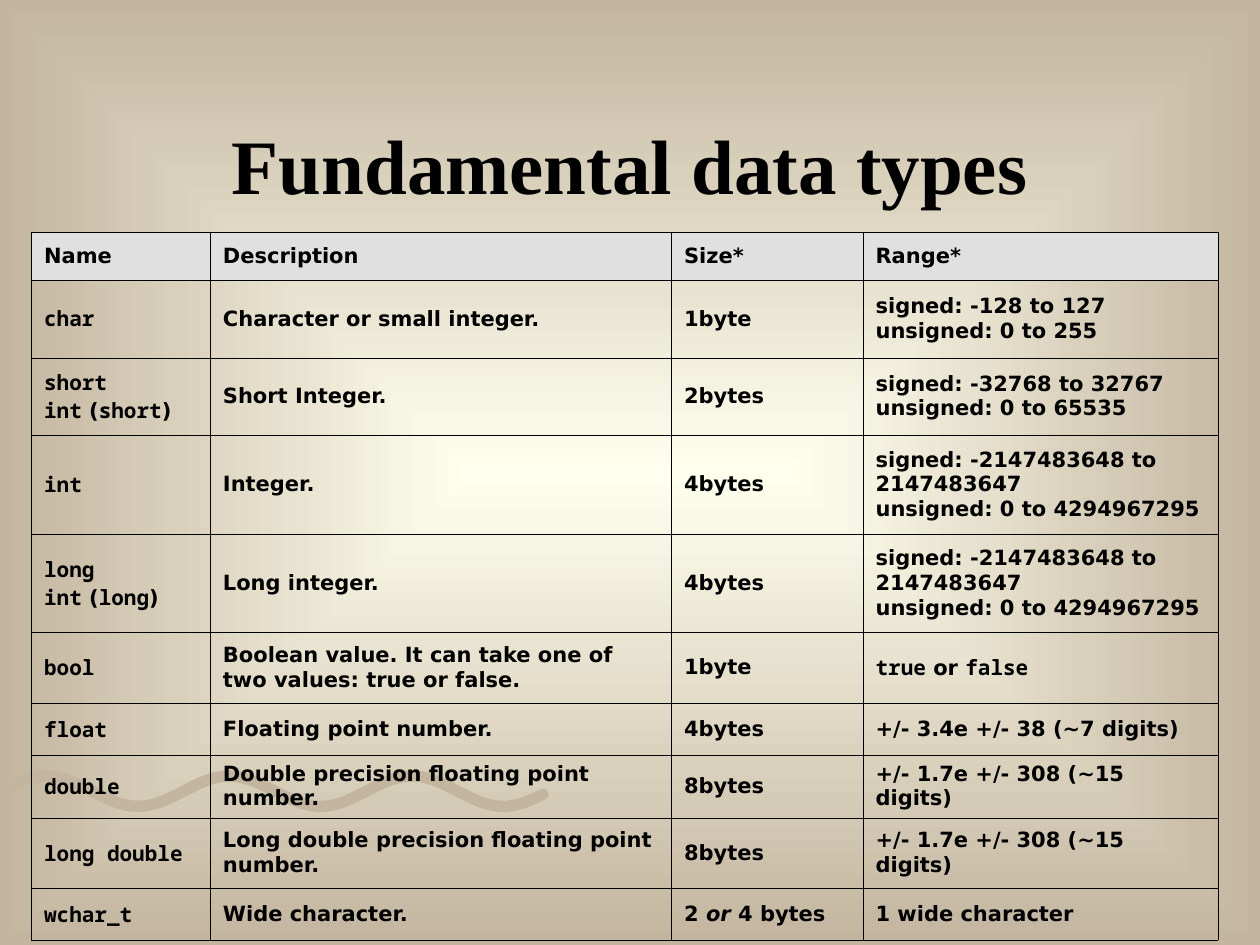
from dataclasses import dataclass
from math import atan, cos, pi, sin

from lxml import etree
from pptx import Presentation
from pptx.dml.color import RGBColor
from pptx.enum.text import MSO_ANCHOR, PP_ALIGN
from pptx.oxml import parse_xml
from pptx.util import Pt

MIDDLE = MSO_ANCHOR.MIDDLE
LEFT, CENTER = PP_ALIGN.LEFT, PP_ALIGN.CENTER
PX = 9144  # EMU per px on a canvas of 1000 by 750 px
NBSP = chr(160)  # keeps the words on both sides on one line
DRAWING_NS = "http://schemas.openxmlformats.org/drawingml/2006/main"
SLIDE_NS = "http://schemas.openxmlformats.org/presentationml/2006/main"


@dataclass(frozen=True)
class Theme:
    ink: str = "000000"
    glow: str = "FFFFEE"
    sand: str = "C3B59F"
    header: str = "E0E0E0"
    title_font: str = "Times New Roman"
    body_font: str = "DejaVu Sans"
    code_font: str = "Noto Sans Mono"
    title_size: int = 44
    body_size: int = 12
    border: float = 0.06


@dataclass(frozen=True)
class Wave:
    """A cosine line of even thickness, in px."""
    start: int
    end: int
    first_crest: int
    middle: int
    height: int
    length: int
    half_thickness: float

    def center(self, x):
        return self.middle - self.height * cos(self.phase(x))

    def direction(self, x):
        return atan(self.height * 2 * pi / self.length * sin(self.phase(x)))

    def phase(self, x):
        return 2 * pi * (x - self.first_crest) / self.length

    def rim(self, x, turn):
        """Point on the rim, turned from the line's direction at x."""
        angle = self.direction(x) + turn
        return (x + self.half_thickness * cos(angle),
                self.center(x) + self.half_thickness * sin(angle))

    def outline(self, step=4, cap_steps=8):
        """Upper edge rightwards, round cap, lower edge back."""
        xs = range(self.start, self.end, step)
        upper = [self.rim(x, -pi / 2) for x in xs]
        cap = [self.rim(self.end, pi * (i / cap_steps - 0.5))
               for i in range(cap_steps + 1)]
        lower = [self.rim(x, pi / 2) for x in reversed(xs)]
        return upper + cap + lower


THEME = Theme()
CODE = {"font": THEME.code_font}
ITALIC = {"italic": True}
PLAIN = {}

BRUSH_WAVE = Wave(start=3, end=431, first_crest=37, middle=628,
                  height=12, length=145, half_thickness=4.5)

COLUMN_WIDTHS = [142, 366, 152, 282]
ROW_HEIGHTS = [38, 62, 61, 79, 78, 56, 41, 45, 56, 41]


def alias(name, short_name):
    return [(name, CODE), (f"{NBSP}(", PLAIN), (short_name, CODE), (")", PLAIN)]


def integer_row(name, description, size):
    """Row of an integer type whose range follows from its size in bytes."""
    values = 2 ** (8 * size)
    unit = "byte" if size == 1 else "bytes"
    limits = (f"signed: -{values // 2} to {values // 2 - 1}\n"
              f"unsigned: 0 to {values - 1}")
    return [name, description, f"{size}{unit}", limits]


def floating_row(name, description, size, exponent, digits):
    return [[(name, CODE)], description, f"{size}bytes",
            f"+/- {exponent} (~{digits} digits)"]


HEADER = ["Name", "Description", "Size*", "Range*"]
DATA_TYPES = [
    integer_row([("char", CODE)], "Character or small integer.", 1),
    integer_row(alias("short int", "short"), "Short Integer.", 2),
    integer_row([("int", CODE)], "Integer.", 4),
    integer_row(alias("long int", "long"), "Long integer.", 4),
    [[("bool", CODE)],
     "Boolean value. It can take one of two values: true or false.", "1byte",
     [("true", CODE), (f"{NBSP}or{NBSP}", PLAIN), ("false", CODE)]],
    floating_row("float", "Floating point number.", 4, "3.4e +/- 38", 7),
    floating_row("double", "Double precision floating point number.", 8,
                 "1.7e +/- 308", 15),
    floating_row("long double", "Long double precision floating point number.",
                 8, "1.7e +/- 308", 15),
    [[("wchar_t", CODE)], "Wide character.",
     [(f"2{NBSP}", PLAIN), ("or", ITALIC), (f"{NBSP}4 bytes", PLAIN)],
     "1 wide character"],
]


def write(paragraph, text, *, font, size, color, bold=True, italic=False):
    """Add text to the paragraph; each newline becomes a line break."""
    for index, line in enumerate(text.split("\n")):
        if index:
            paragraph.add_line_break()
        run = paragraph.add_run()
        run.text = line
        run.font.name = font
        run.font.size = Pt(size)
        run.font.bold = bold
        run.font.italic = italic
        run.font.color.rgb = RGBColor.from_string(color)


class SlideBuilder:
    def __init__(self, slide, theme):
        self.slide = slide
        self.theme = theme

    def background(self):
        """Fade from the glow in the middle to sand at the edges."""
        stops = "".join(
            f'<a:gs pos="{position}"><a:srgbClr val="{color}"/></a:gs>'
            for position, color in ((0, self.theme.glow), (100000, self.theme.sand)))
        self.slide.element.cSld.insert(0, parse_xml(
            f'<p:bg xmlns:p="{SLIDE_NS}" xmlns:a="{DRAWING_NS}"><p:bgPr>'
            f'<a:gradFill rotWithShape="0"><a:gsLst>{stops}</a:gsLst>'
            '<a:path path="rect"><a:fillToRect l="50000" t="50000" r="50000" '
            'b="50000"/></a:path></a:gradFill><a:effectLst/></p:bgPr></p:bg>'))

    def brush_stroke(self, wave):
        points = [(round(x * PX), round(y * PX)) for x, y in wave.outline()]
        outline = self.slide.shapes.build_freeform(*points[0])
        outline.add_line_segments(points[1:], close=True)
        stroke = outline.convert_to_shape()
        stroke.shadow.inherit = False
        stroke.fill.solid()
        stroke.fill.fore_color.rgb = RGBColor.from_string(self.theme.sand)
        stroke.line.fill.background()

    def title(self, text, left, top, width, height):
        box = self.slide.shapes.add_textbox(
            left * PX, top * PX, width * PX, height * PX)
        frame = box.text_frame
        frame.word_wrap = True
        frame.vertical_anchor = MIDDLE
        paragraph = frame.paragraphs[0]
        paragraph.alignment = CENTER
        write(paragraph, text, font=self.theme.title_font,
              size=self.theme.title_size, color=self.theme.ink)

    def table(self, rows, left, top, widths, heights):
        table = self.slide.shapes.add_table(
            len(rows), len(widths), left * PX, top * PX,
            sum(widths) * PX, sum(heights) * PX).table
        table.first_row = table.horz_banding = False
        for column, width in zip(table.columns, widths):
            column.width = width * PX
        for row, height in zip(table.rows, heights):
            row.height = height * PX
        for row_index, row in enumerate(rows):
            for column_index, content in enumerate(row):
                self.cell(table.cell(row_index, column_index), content,
                          is_header=row_index == 0)

    def cell(self, cell, content, is_header):
        cell.vertical_anchor = MIDDLE
        self.cell_borders(cell)
        if is_header:
            cell.fill.solid()
            cell.fill.fore_color.rgb = RGBColor.from_string(self.theme.header)
        else:
            cell.fill.background()
        paragraph = cell.text_frame.paragraphs[0]
        paragraph.alignment = LEFT
        runs = [(content, PLAIN)] if isinstance(content, str) else content
        base = {"font": self.theme.body_font, "size": self.theme.body_size,
                "color": self.theme.ink}
        for text, style in runs:
            write(paragraph, text, **{**base, **style})

    def cell_borders(self, cell):
        properties = cell._tc.get_or_add_tcPr()
        for side in ("lnL", "lnR", "lnT", "lnB"):
            line = etree.SubElement(properties, f"{{{DRAWING_NS}}}{side}",
                                    w=str(Pt(self.theme.border)))
            fill = etree.SubElement(line, f"{{{DRAWING_NS}}}solidFill")
            etree.SubElement(fill, f"{{{DRAWING_NS}}}srgbClr", val=self.theme.ink)


def main():
    presentation = Presentation()
    presentation.slide_width, presentation.slide_height = 1000 * PX, 750 * PX
    slide = presentation.slides.add_slide(presentation.slide_layouts[6])
    builder = SlideBuilder(slide, THEME)
    builder.background()
    builder.brush_stroke(BRUSH_WAVE)
    builder.title("Fundamental data types", 75, 67, 850, 125)
    builder.table([HEADER, *DATA_TYPES], 25, 184, COLUMN_WIDTHS, ROW_HEIGHTS)
    presentation.save("out.pptx")


if __name__ == "__main__":
    main()
